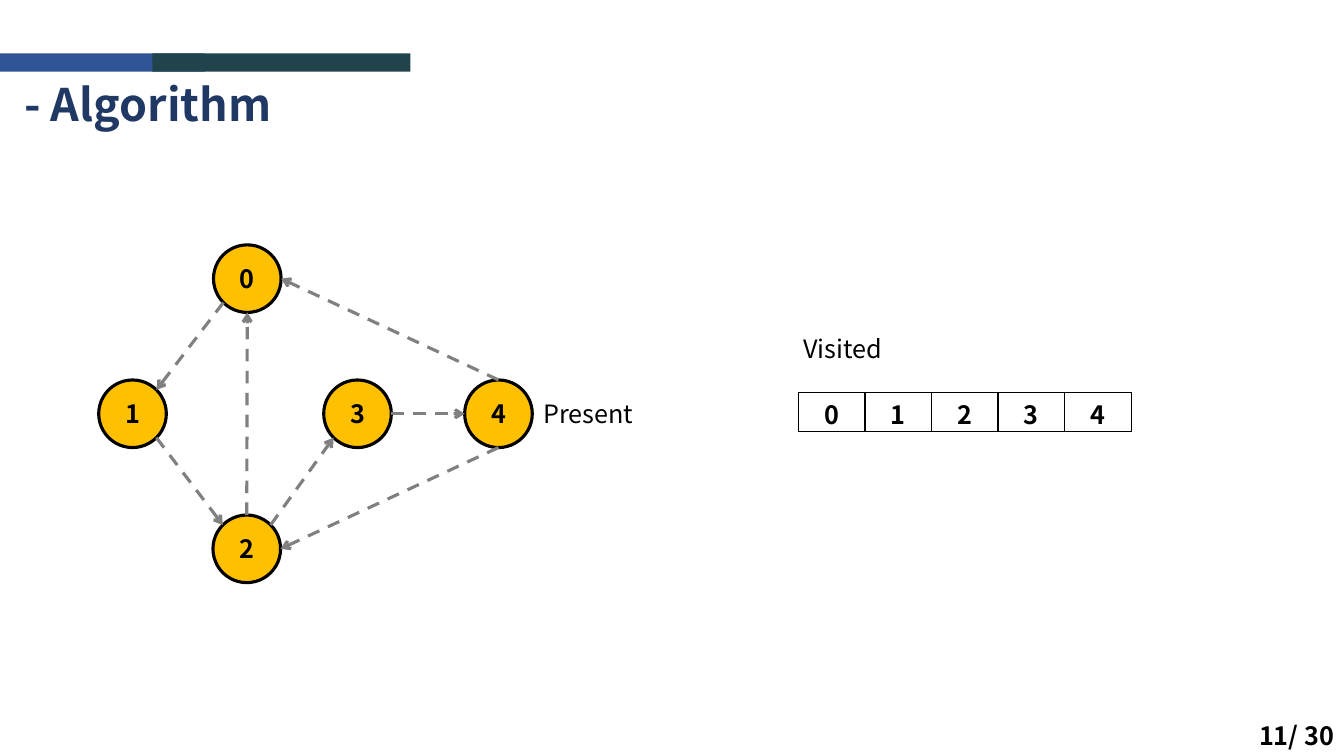
import dataclasses
import enum
import math
import typing

import lxml.etree
import pptx
import pptx.dml.color
import pptx.enum.dml
import pptx.enum.shapes
import pptx.enum.text
import pptx.oxml
import pptx.oxml.ns
import pptx.util

SLIDE_WIDTH = pptx.util.Inches(13.33)
SLIDE_HEIGHT = pptx.util.Inches(7.5)
COLUMN = SLIDE_WIDTH / 100
ROW = SLIDE_HEIGHT / 100


def rgb(value: str) -> pptx.dml.color.RGBColor:
    return pptx.dml.color.RGBColor.from_string(value)


@dataclasses.dataclass(frozen=True)
class Theme:
    font: str = "Noto Sans CJK KR"
    title: str = "203864"
    bar_left: str = "2F5597"
    bar_right: str = "21434B"
    node: str = "FFC000"
    edge: str = "808080"
    ink: str = "000000"
    title_size: int = 32
    body_size: int = 18
    graph_line: float = 2.25
    cell_line: float = 1


@dataclasses.dataclass(frozen=True)
class Area:
    """A rectangle in grid columns and rows."""
    column: float
    row: float
    columns: float
    rows: float

    def box(self) -> tuple[int, int, int, int]:
        return (round(self.column * COLUMN), round(self.row * ROW),
                round(self.columns * COLUMN), round(self.rows * ROW))


class Site(enum.Enum):
    """Points on a node's rim, as clockwise degrees from the right."""
    RIGHT = 0
    BOTTOM_RIGHT = 45
    BOTTOM = 90
    BOTTOM_LEFT = 135
    LEFT = 180
    TOP_LEFT = 225
    TOP = 270
    TOP_RIGHT = 315


class Node(typing.NamedTuple):
    column: float
    row: float

    def rim(self, site: Site) -> tuple[int, int]:
        angle = math.radians(site.value)
        return (round(self.column * COLUMN + NODE_SIZE / 2 * math.cos(angle)),
                round(self.row * ROW + NODE_SIZE / 2 * math.sin(angle)))


class Edge(typing.NamedTuple):
    start: int
    leave: Site
    end: int
    enter: Site


class Label(typing.NamedTuple):
    text: str
    area: Area
    bold: bool


class Bar(typing.NamedTuple):
    area: Area
    color: str


THEME = Theme()
NODE_SIZE = 5.03 * COLUMN
MIDDLE_ROW, ROW_STEP = 54.73, 17.87
NODES = [
    Node(18.4, MIDDLE_ROW - ROW_STEP),
    Node(9.86, MIDDLE_ROW),
    Node(18.36, MIDDLE_ROW + ROW_STEP),
    Node(26.6, MIDDLE_ROW),
    Node(37.09, MIDDLE_ROW),
]
EDGES = [
    Edge(4, Site.TOP, 0, Site.RIGHT),
    Edge(4, Site.BOTTOM, 2, Site.RIGHT),
    Edge(2, Site.TOP, 0, Site.BOTTOM),
    Edge(0, Site.BOTTOM_LEFT, 1, Site.TOP_RIGHT),
    Edge(1, Site.BOTTOM_RIGHT, 2, Site.TOP_LEFT),
    Edge(2, Site.TOP_RIGHT, 3, Site.BOTTOM_LEFT),
    Edge(3, Site.RIGHT, 4, Site.LEFT),
]
BARS = [Bar(Area(0, 7.07, 15.23, 2.4), THEME.bar_left),
        Bar(Area(11.33, 7.07, 19.2, 2.4), THEME.bar_right)]
LABELS = [
    Label("11/ 30", Area(92.95, 94.67, 8.33, 5.33), True),
    Label("Visited", Area(59.04, 43.47, 20.86, 5.33), False),
    Label("Present", Area(39.68, 52, 9.08, 5.47), False),
]
TITLE_AREA = Area(1.05, 9.47, 41.94, 8.53)
TABLE_AREA = Area(59.41, 51.87, 24.76, 5.2)
CENTER = pptx.enum.text.PP_ALIGN.CENTER
LEFT = pptx.enum.text.PP_ALIGN.LEFT


def apply(target: typing.Any, values: dict[str, typing.Any]) -> None:
    for name, value in values.items():
        setattr(target, name, value)


def write(frame: typing.Any, text: str, align: typing.Any = LEFT, bold: bool = True,
          size: int = THEME.body_size, color: str = THEME.ink) -> None:
    para = frame.paragraphs[0]
    para.alignment = align
    span = para.add_run()
    span.text = text
    apply(span.font, {"name": THEME.font, "size": pptx.util.Pt(size), "bold": bold})
    span.font.color.rgb = rgb(color)


def add_title(page: typing.Any) -> None:
    title = page.shapes.title
    apply(title, dict(zip(("left", "top", "width", "height"), TITLE_AREA.box())))
    apply(title.text_frame, {"word_wrap": True,
                             "vertical_anchor": pptx.enum.text.MSO_ANCHOR.TOP,
                             "auto_size": pptx.enum.text.MSO_AUTO_SIZE.SHAPE_TO_FIT_TEXT})
    write(title.text_frame, "- Algorithm", size=THEME.title_size, color=THEME.title)


def add_bar(group: typing.Any, bar: Bar) -> None:
    shape = group.shapes.add_shape(pptx.enum.shapes.MSO_SHAPE.RECTANGLE, *bar.area.box())
    shape.shadow.inherit = False
    shape.fill.solid()
    shape.fill.fore_color.rgb = rgb(bar.color)
    shape.line.fill.background()


def add_label(page: typing.Any, label: Label) -> None:
    frame = page.shapes.add_textbox(*label.area.box()).text_frame
    apply(frame, {"word_wrap": True,
                  "auto_size": pptx.enum.text.MSO_AUTO_SIZE.SHAPE_TO_FIT_TEXT})
    write(frame, label.text, bold=label.bold)


def add_node(page: typing.Any, node: Node, text: str) -> None:
    size = round(NODE_SIZE)
    shape = page.shapes.add_shape(
        pptx.enum.shapes.MSO_SHAPE.OVAL, round(node.column * COLUMN - size / 2),
        round(node.row * ROW - size / 2), size, size)
    shape.shadow.inherit = False
    shape.fill.solid()
    shape.fill.fore_color.rgb = rgb(THEME.node)
    shape.line.color.rgb = rgb(THEME.ink)
    shape.line.width = pptx.util.Pt(THEME.graph_line)
    shape.text_frame.vertical_anchor = pptx.enum.text.MSO_ANCHOR.MIDDLE
    write(shape.text_frame, text, CENTER)


def add_edge(page: typing.Any, edge: Edge) -> None:
    arrow = page.shapes.add_connector(
        pptx.enum.shapes.MSO_CONNECTOR.STRAIGHT,
        *NODES[edge.start].rim(edge.leave), *NODES[edge.end].rim(edge.enter))
    arrow.line.color.rgb = rgb(THEME.edge)
    apply(arrow.line, {"width": pptx.util.Pt(THEME.graph_line),
                       "dash_style": pptx.enum.dml.MSO_LINE.DASH})
    qn = pptx.oxml.ns.qn
    lxml.etree.SubElement(arrow.line._get_or_add_ln(), qn("a:tailEnd"), type="arrow")
    lxml.etree.SubElement(arrow._element.spPr, qn("a:effectLst"))


def add_visited_table(page: typing.Any) -> None:
    table = page.shapes.add_table(1, len(NODES), *TABLE_AREA.box()).table
    apply(table, {"first_row": False, "horz_banding": False})
    for number, cell in enumerate(table.iter_cells()):
        apply(cell, {"margin_left": pptx.util.Inches(0.07), "margin_right": pptx.util.Inches(0.07),
                     "margin_top": pptx.util.Inches(0.03), "margin_bottom": pptx.util.Inches(0.03)})
        write(cell.text_frame, str(number), CENTER)
        for side in "LRTB":
            cell._tc.get_or_add_tcPr().append(pptx.oxml.parse_xml(
                f'<a:ln{side} {pptx.oxml.ns.nsdecls("a")} w="{pptx.util.Pt(THEME.cell_line)}">'
                f'<a:solidFill><a:srgbClr val="{THEME.ink}"/></a:solidFill></a:ln{side}>'))
        cell.fill.background()


def main() -> None:
    deck = pptx.Presentation()
    apply(deck, {"slide_width": SLIDE_WIDTH, "slide_height": SLIDE_HEIGHT})
    page = deck.slides.add_slide(deck.slide_layouts.get_by_name("Title Only"))
    add_title(page)
    group = page.shapes.add_group_shape()
    for bar in BARS:
        add_bar(group, bar)
    for number, node in enumerate(NODES):
        add_node(page, node, str(number))
    for edge in EDGES:
        add_edge(page, edge)
    add_visited_table(page)
    for label in LABELS:
        add_label(page, label)
    deck.save("out.pptx")


if __name__ == "__main__":
    main()
